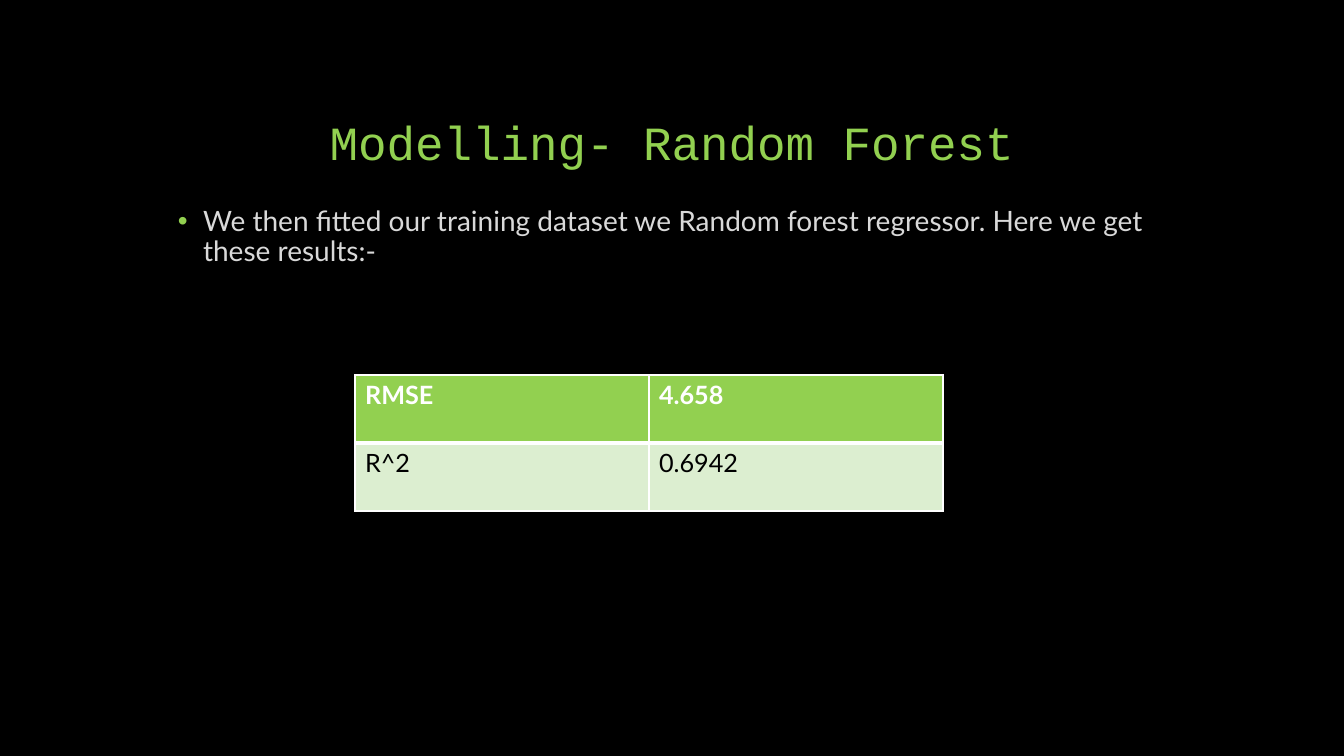
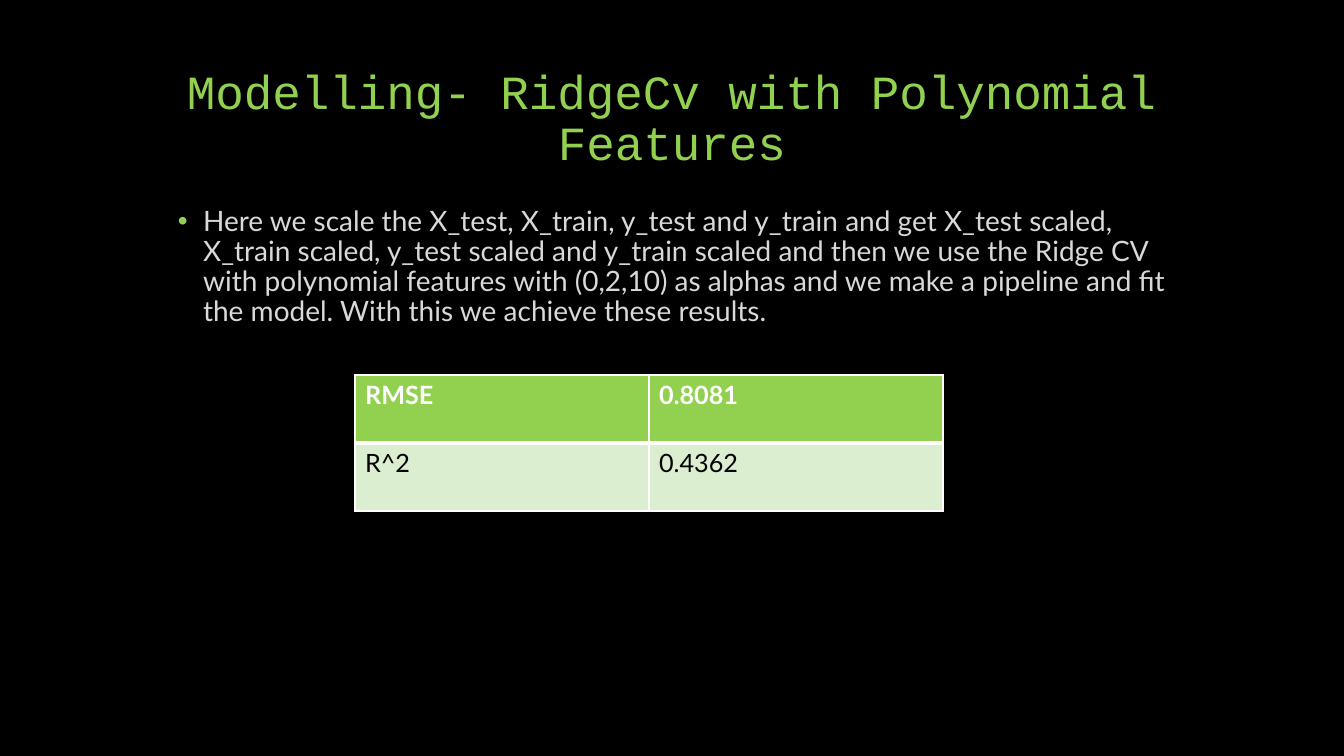
"""Build two slides of model results, each with a title, a bullet and a score table."""
from dataclasses import dataclass

from lxml.etree import SubElement
from pptx import Presentation
from pptx.dml.color import RGBColor
from pptx.enum.text import MSO_ANCHOR, PP_ALIGN
from pptx.oxml.ns import qn
from pptx.util import Pt

SCALE = 12192000 / 1344
INK = {
    "back": "000000",
    "green": "92D050",
    "pale": "DCEED0",
    "text": "D9D9D9",
    "white": "FFFFFF",
    "black": "000000",
}


@dataclass(frozen=True)
class Box:
    left: int
    top: int
    width: int
    height: int

    def emu(self) -> list[int]:
        return [px(n) for n in (self.left, self.top, self.width, self.height)]


@dataclass(frozen=True)
class Style:
    font: str
    size: int
    color: str
    bold: bool = False


@dataclass(frozen=True)
class Page:
    title: str
    body: str
    rmse: str
    score: str


TITLE = Box(168, 50, 1008, 126)
BODY = Box(168, 202, 1008, 470)
TABLE = Box(355, 375, 588, 136)
HEAD = Style("Courier New", 34, "green")
PLAIN = Style("Lato", 20, "text")
ROWS = [
    (Style("Lato", 18, "white", True), "green", {"L": 1, "R": 1, "T": 1, "B": 3}),
    (Style("Lato", 18, "black"), "pale", {"L": 1, "R": 1, "T": 3, "B": 1}),
]
PAGES = [
    Page(
        "Modelling- Random Forest",
        "We then fitted our training dataset we Random forest regressor. "
        "Here we get these results:-",
        "4.658",
        "0.6942",
    ),
    Page(
        "Modelling- RidgeCv with Polynomial Features",
        "Here we scale the X_test, X_train, y_test and y_train and get "
        "X_test scaled, X_train scaled, y_test scaled and y_train scaled "
        "and then we use the Ridge CV with polynomial features with (0,2,10) "
        "as alphas and we make a pipeline and fit the model. "
        "With this we achieve these results.",
        "0.8081",
        "0.4362",
    ),
]


def px(count: int) -> int:
    return round(count * SCALE)


def rgb(name: str) -> RGBColor:
    return RGBColor.from_string(INK[name])


def write(frame, text: str, style: Style):
    frame.text = text
    para = frame.paragraphs[0]
    font = para.runs[0].font
    font.name, font.size, font.bold = style.font, Pt(style.size), style.bold
    font.color.rgb = rgb(style.color)
    return para


def add_text(slide, box: Box, text: str, style: Style):
    frame = slide.shapes.add_textbox(*box.emu()).text_frame
    frame.word_wrap = True
    para = write(frame, text, style)
    para.line_spacing = 0.9
    return frame, para


def add_title(slide, text: str) -> None:
    frame, para = add_text(slide, TITLE, text, HEAD)
    frame.vertical_anchor = MSO_ANCHOR.BOTTOM
    para.alignment = PP_ALIGN.CENTER


def add_body(slide, text: str) -> None:
    para = add_text(slide, BODY, text, PLAIN)[1]
    para.space_before = Pt(18)
    props = para._p.get_or_add_pPr()
    props.set("marL", str(Pt(18)))
    props.set("indent", str(-Pt(18)))
    tint = SubElement(props, qn("a:buClr"))
    SubElement(tint, qn("a:srgbClr"), val=INK["green"])
    SubElement(props, qn("a:buFont"), typeface="Arial")
    SubElement(props, qn("a:buChar"), char="•")


def add_edges(cell, edges: dict[str, int]) -> None:
    props = cell._tc.get_or_add_tcPr()
    for side, width in edges.items():
        line = SubElement(props, qn(f"a:ln{side}"), w=str(Pt(width)))
        fill = SubElement(line, qn("a:solidFill"))
        SubElement(fill, qn("a:srgbClr"), val=INK["white"])


def add_scores(slide, page: Page) -> None:
    data = [("RMSE", page.rmse), ("R^2", page.score)]
    table = slide.shapes.add_table(len(data), 2, *TABLE.emu()).table
    for row, (texts, (style, fill, edges)) in enumerate(zip(data, ROWS)):
        for col, text in enumerate(texts):
            cell = table.cell(row, col)
            write(cell.text_frame, text, style)
            add_edges(cell, edges)
            cell.fill.solid()
            cell.fill.fore_color.rgb = rgb(fill)


def add_page(deck, page: Page) -> None:
    slide = deck.slides.add_slide(deck.slide_layouts[6])
    back = slide.background.fill
    back.solid()
    back.fore_color.rgb = rgb("back")
    add_title(slide, page.title)
    add_body(slide, page.body)
    add_scores(slide, page)


def main() -> None:
    deck = Presentation()
    deck.slide_width, deck.slide_height = px(1344), px(756)
    for page in PAGES:
        add_page(deck, page)
    deck.save("out.pptx")


main()
